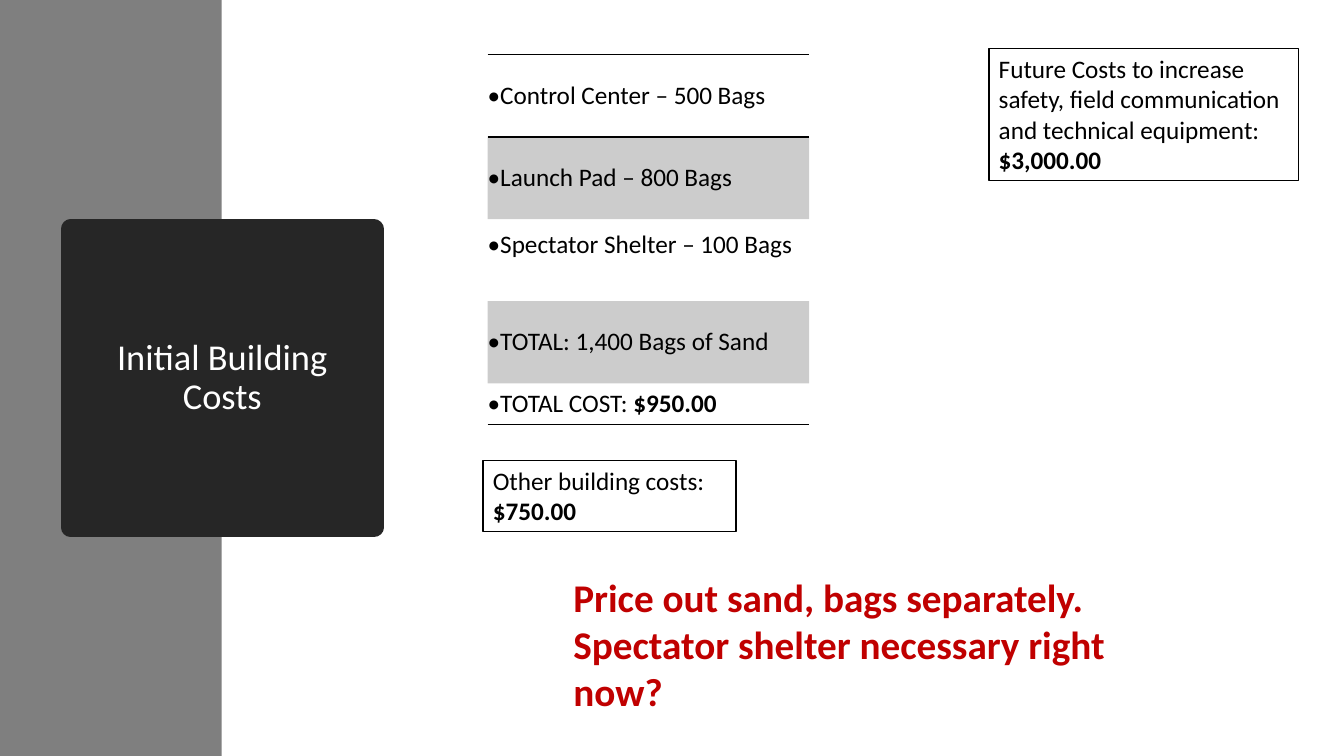
from dataclasses import dataclass

from lxml import etree
from pptx import Presentation, util as u
from pptx.dml.color import RGBColor
from pptx.enum import shapes, text
from pptx.oxml.ns import qn

BLACK = RGBColor(0x00, 0x00, 0x00)
WHITE = RGBColor(0xFF, 0xFF, 0xFF)
GREY = RGBColor(0x7F, 0x7F, 0x7F)
CHARCOAL = RGBColor(0x26, 0x26, 0x26)
RED = RGBColor(0xC0, 0x00, 0x00)
FONT = "Calibri"


@dataclass
class CostRow:
    label: str
    amount: str = ""
    height: float = 2.07
    shaded: bool = False
    top_line: bool = False
    bottom_line: bool = False
    bottom_margin: float = 0


@dataclass
class Note:
    left: float
    top: float
    width: float
    height: float
    label: str
    amount: str


COST_ROWS = [
    CostRow("•Control Center – 500 Bags", top_line=True, bottom_line=True),
    CostRow("•Launch Pad – 800 Bags", shaded=True, top_line=True),
    CostRow("•Spectator Shelter – 100 Bags", bottom_margin=0.76),
    CostRow("•TOTAL: 1,400 Bags of Sand", shaded=True),
    CostRow("•TOTAL COST: ", "$950.00", height=1.04, bottom_line=True),
]

NOTES = [
    Note(12.17, 11.6, 6.38, 1.8, "Other building costs: ", "$750.00"),
    Note(24.92, 1.22, 7.8, 3.33,
         "Future Costs to increase safety, field communication and technical equipment: ",
         "$3,000.00"),
]


def write(paragraph, content: str, size: float = 18, color: RGBColor = BLACK,
          bold: bool = False) -> None:
    run = paragraph.add_run()
    run.text = content
    run.font.name = FONT
    run.font.size = u.Pt(size)
    run.font.bold = bold
    run.font.color.rgb = color


def add_block(slide, left: float, top: float, width: float, height: float,
              color: RGBColor):
    block = slide.shapes.add_shape(shapes.MSO_SHAPE.RECTANGLE, u.Cm(left), u.Cm(top),
                                   u.Cm(width), u.Cm(height))
    block.shadow.inherit = False
    block.fill.solid()
    block.fill.fore_color.rgb = color
    block.line.fill.background()
    return block


def add_growing_box(slide, left: float, top: float, width: float, height: float):
    box = slide.shapes.add_textbox(u.Cm(left), u.Cm(top), u.Cm(width), u.Cm(height))
    box.text_frame.word_wrap = True
    box.text_frame.auto_size = text.MSO_AUTO_SIZE.SHAPE_TO_FIT_TEXT
    return box


def add_note(slide, note: Note) -> None:
    box = add_growing_box(slide, note.left, note.top, note.width, note.height)
    box.fill.solid()
    box.fill.fore_color.rgb = WHITE
    box.line.color.rgb = BLACK
    box.line.width = u.Pt(1)
    paragraph = box.text_frame.paragraphs[0]
    write(paragraph, note.label)
    write(paragraph, note.amount, bold=True)


def set_borders(cell, row: CostRow) -> None:
    sides = {"a:lnL": False, "a:lnR": False,
             "a:lnT": row.top_line, "a:lnB": row.bottom_line}
    properties = cell._tc.get_or_add_tcPr()
    for position, (tag, visible) in enumerate(sides.items()):
        border = etree.Element(qn(tag), w=str(u.Pt(1)))
        if visible:
            fill = etree.SubElement(border, qn("a:solidFill"))
            etree.SubElement(fill, qn("a:srgbClr"), val=str(BLACK))
        else:
            etree.SubElement(border, qn("a:noFill"))
        properties.insert(position, border)


def fill_cell(cell, row: CostRow) -> None:
    cell.margin_left = cell.margin_right = cell.margin_top = 0
    cell.margin_bottom = u.Cm(row.bottom_margin)
    cell.vertical_anchor = text.MSO_ANCHOR.MIDDLE
    if row.shaded:
        cell.fill.solid()
        cell.fill.fore_color.rgb = BLACK
        tint = cell._tc.tcPr.find(".//" + qn("a:srgbClr"))
        etree.SubElement(tint, qn("a:alpha"), val="20000")
    else:
        cell.fill.background()
    set_borders(cell, row)
    paragraph = cell.text_frame.paragraphs[0]
    write(paragraph, row.label)
    if row.amount:
        write(paragraph, row.amount, bold=True)


def add_cost_table(slide, rows: list[CostRow]) -> None:
    total_height = sum(row.height for row in rows)
    costs = slide.shapes.add_table(len(rows), 1, u.Cm(12.29), u.Cm(1.38),
                                   u.Cm(8.1), u.Cm(total_height)).table
    costs.first_row = costs.horz_banding = False
    for index, row in enumerate(rows):
        costs.rows[index].height = u.Cm(row.height)
        fill_cell(costs.cell(index, 0), row)


def add_title(slide) -> None:
    title = add_block(slide, 1.78, 5.77, 7.65, 7.52, CHARCOAL)
    title.line.color.rgb = CHARCOAL
    title.line.width = u.Pt(13.75)
    etree.SubElement(title.line._ln, qn("a:round"))
    frame = title.text_frame
    frame.word_wrap = True
    frame.vertical_anchor = text.MSO_ANCHOR.MIDDLE
    paragraph = frame.paragraphs[0]
    paragraph.alignment = text.PP_ALIGN.CENTER
    paragraph.line_spacing = 0.9
    write(paragraph, "Initial Building Costs", size=26, color=WHITE)


def main() -> None:
    deck = Presentation()
    deck.slide_width, deck.slide_height = u.Cm(33.87), u.Cm(19.05)
    slide = deck.slides.add_slide(deck.slide_layouts[6])

    # Side band and title
    add_block(slide, 0, 0, 5.59, 19.05, GREY)
    add_title(slide)

    # Costs
    add_cost_table(slide, COST_ROWS)
    for note in NOTES:
        add_note(slide, note)

    # Open question
    question = add_growing_box(slide, 14.2, 14.33, 16.36, 3.84)
    write(question.text_frame.paragraphs[0],
          "Price out sand, bags separately. Spectator shelter necessary right now?",
          size=28, color=RED, bold=True)

    deck.save("out.pptx")


if __name__ == "__main__":
    main()
